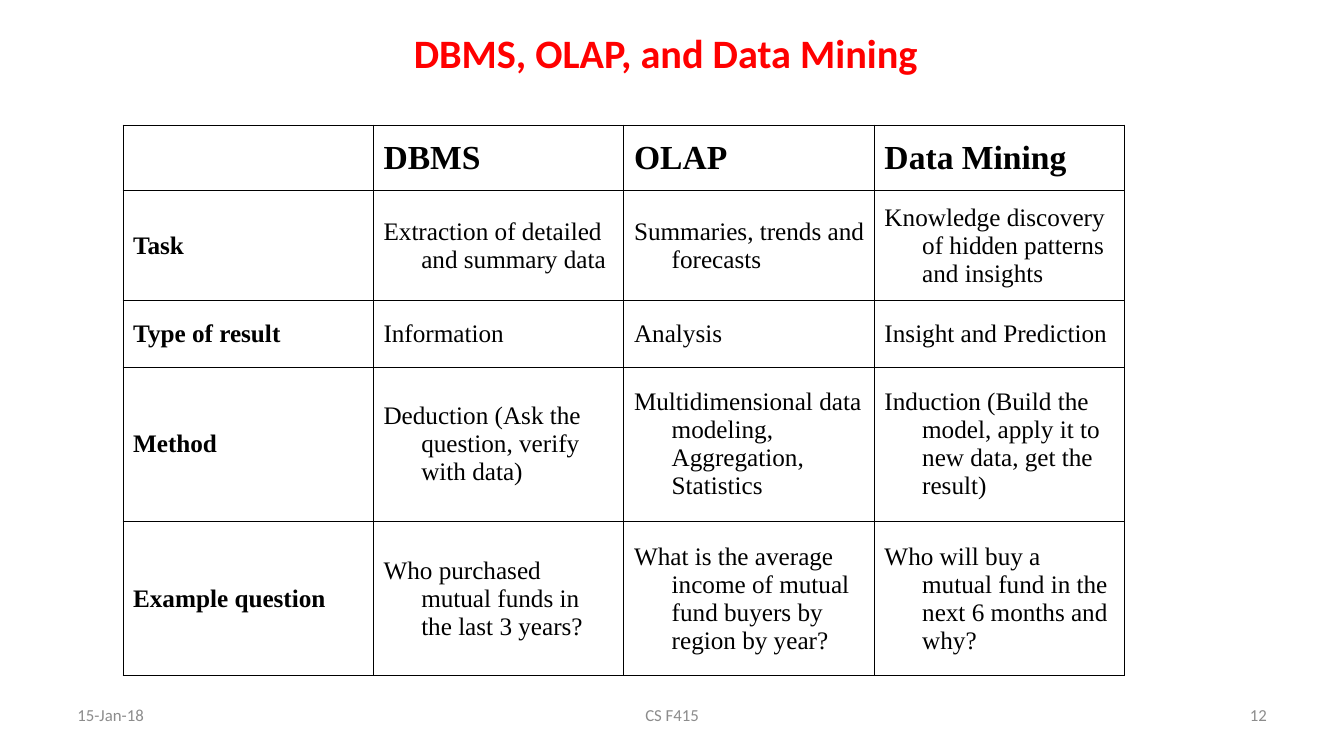
from lxml import etree
from pptx import Presentation
from pptx.dml.color import RGBColor
from pptx.enum.text import MSO_ANCHOR, MSO_AUTO_SIZE, PP_ALIGN
from pptx.oxml.ns import qn
from pptx.util import Cm, Pt

MIDDLE = MSO_ANCHOR.MIDDLE
NO_FIT = MSO_AUTO_SIZE.NONE
LEFT, CENTER, RIGHT = PP_ALIGN.LEFT, PP_ALIGN.CENTER, PP_ALIGN.RIGHT

COLORS = {"title": "FF0000", "text": "000000", "foot": "8C8C8C"}
SANS, SERIF = "Calibri", "Times New Roman"

ROWS = [
    ["", "DBMS", "OLAP", "Data Mining"],
    ["Task", "Extraction of detailed and summary data",
     "Summaries, trends and forecasts",
     "Knowledge discovery of hidden patterns and insights"],
    ["Type of result", "Information", "Analysis", "Insight and Prediction"],
    ["Method", "Deduction (Ask the question, verify with data)",
     "Multidimensional data modeling, Aggregation, Statistics",
     "Induction (Build the model, apply it to new data, get the result)"],
    ["Example question", "Who purchased mutual funds in the last 3 years?",
     "What is the average income of mutual fund buyers by region by year?",
     "Who will buy a mutual fund in the next 6 months and why?"],
]
HEIGHTS = [1.66, 2.77, 1.67, 3.89, 3.89]


def add_run(para, text, size, face, color, bold=False):
    run = para.add_run()
    run.text = text
    font = run.font
    font.size, font.name, font.bold = Pt(size), face, bold
    font.color.rgb = RGBColor.from_string(COLORS[color])


def add_title(slide, left, top, width, height):
    title = slide.shapes.title
    title.left, title.top = Cm(left), Cm(top)
    title.width, title.height = Cm(width), Cm(height)
    frame = title.text_frame
    frame.auto_size, frame.vertical_anchor = NO_FIT, MIDDLE
    frame.word_wrap = True
    para = frame.paragraphs[0]
    para.alignment, para.line_spacing = CENTER, 0.9
    add_run(para, "DBMS, OLAP, and Data Mining", 28.8, SANS, "title", True)
    add_run(para, " ", 39.6, SANS, "title")


def add_border(cell):
    props = cell._tc.get_or_add_tcPr()
    for side in ("a:lnL", "a:lnR", "a:lnT", "a:lnB"):
        line = etree.SubElement(props, qn(side), w=str(Pt(0.75)))
        fill = etree.SubElement(line, qn("a:solidFill"))
        etree.SubElement(fill, qn("a:srgbClr"), val=COLORS["text"])


def fill_cell(cell, text, size, bold):
    add_border(cell)
    cell.fill.background()
    cell.vertical_anchor = MIDDLE
    if not text:
        return
    para = cell.text_frame.paragraphs[0]
    props = para._p.get_or_add_pPr()
    props.set("marL", str(Cm(0.95)))
    props.set("indent", str(-Cm(0.95)))
    add_run(para, text, size, SERIF, "text", bold)


def add_grid(slide, left, top, width):
    count = len(ROWS[0])
    table = slide.shapes.add_table(len(ROWS), count, Cm(left), Cm(top),
                                   Cm(width), Cm(sum(HEIGHTS))).table
    table.first_row = table.horz_banding = False
    for col in table.columns:
        col.width = Cm(width / count)
    for r, (texts, height) in enumerate(zip(ROWS, HEIGHTS)):
        table.rows[r].height = Cm(height)
        for c, text in enumerate(texts):
            size = 24 if r == 0 else 18
            fill_cell(table.cell(r, c), text, size, r == 0 or c == 0)


def add_footer(slide, left, top, width, height):
    side, mid = 7.9, 10.72
    parts = [
        ("15-Jan-18", left, side, LEFT),
        ("CS F415", left + (width - mid) / 2, mid, CENTER),
        ("12", left + width - side, side, RIGHT),
    ]
    for text, x, wide, align in parts:
        box = slide.shapes.add_textbox(Cm(x), Cm(top), Cm(wide), Cm(height))
        frame = box.text_frame
        frame.word_wrap, frame.vertical_anchor = True, MIDDLE
        para = frame.paragraphs[0]
        para.alignment = align
        add_run(para, text, 12, SANS, "foot")


def main():
    deck = Presentation()
    deck.slide_width, deck.slide_height = Cm(33.87), Cm(19.05)
    slide = deck.slides.add_slide(deck.slide_layouts[5])
    add_title(slide, 1.7, 0.76, 30.48, 1.04)
    add_grid(slide, 3.1, 3.15, 25.25)
    add_footer(slide, 1.7, 17.35, 30.48, 1.32)
    deck.save("out.pptx")


if __name__ == "__main__":
    main()
